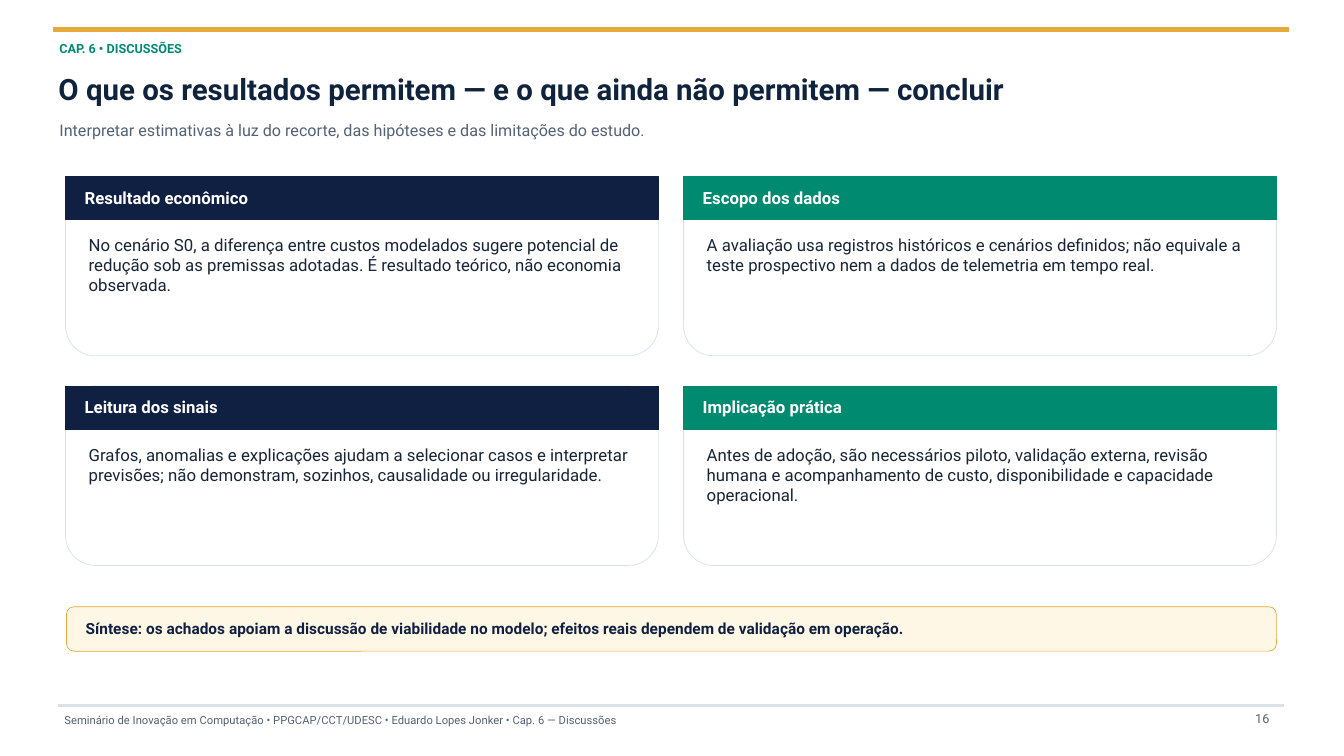
from pptx import Presentation
from pptx.dml.color import RGBColor
from pptx.enum.shapes import MSO_SHAPE
from pptx.enum.text import MSO_ANCHOR, MSO_AUTO_SIZE, PP_ALIGN
from pptx.util import Inches, Pt

TITLE = "O que os resultados permitem — e o que ainda não permitem — concluir"
TAG = "CAP. 6 • DISCUSSÕES"
LEAD = "Interpretar estimativas à luz do recorte, das hipóteses e das limitações do estudo."
CARDS = [
    ("Resultado econômico",
     "No cenário S0, a diferença entre custos modelados sugere potencial de redução "
     "sob as premissas adotadas. É resultado teórico, não economia observada."),
    ("Escopo dos dados",
     "A avaliação usa registros históricos e cenários definidos; não equivale a teste "
     "prospectivo nem a dados de telemetria em tempo real."),
    ("Leitura dos sinais",
     "Grafos, anomalias e explicações ajudam a selecionar casos e interpretar previsões; "
     "não demonstram, sozinhos, causalidade ou irregularidade."),
    ("Implicação prática",
     "Antes de adoção, são necessários piloto, validação externa, revisão humana e "
     "acompanhamento de custo, disponibilidade e capacidade operacional."),
]
CLOSE = ("Síntese: os achados apoiam a discussão de viabilidade no modelo; "
         "efeitos reais dependem de validação em operação.")
FOOT = ("Seminário de Inovação em Computação • PPGCAP/CCT/UDESC • "
        "Eduardo Lopes Jonker • Cap. 6 — Discussões")
PAGE = "16"


class Theme:
    font = "Roboto"
    gold, cream, white = "E6A93A", "FFF7E5", "FFFFFF"
    navy, green, rule = "0F2043", "008B70", "DAE1E8"
    title, body, muted = "10233D", "182536", "526174"
    heads = (navy, green)
    big, card, lead, close, small, tiny = 21, 12, 11.5, 11, 9, 8


LEFT, TOP = 0.65, 1.75
WIDE, HIGH, BAND = 5.88, 1.78, 0.43
STEP_X, STEP_Y = 6.13, 2.08

deck = Presentation()
deck.slide_width, deck.slide_height = Inches(13.33), Inches(7.5)
slide = deck.slides.add_slide(deck.slide_layouts[5])


def draw(kind, box, fill, line):
    shape = slide.shapes.add_shape(kind, *map(Inches, box))
    shape.shadow.inherit = False
    shape.fill.solid()
    shape.fill.fore_color.rgb = RGBColor.from_string(fill)
    shape.line.color.rgb = RGBColor.from_string(line)
    shape.line.width = Pt(0.5)


def write(text, box, size, color, bold=False, align=PP_ALIGN.LEFT,
          anchor=MSO_ANCHOR.MIDDLE, holder=None):
    """Put text in a new text box, or in the given placeholder."""
    place = [Inches(n) for n in box]
    shape = holder or slide.shapes.add_textbox(*place)
    shape.left, shape.top, shape.width, shape.height = place
    frame = shape.text_frame
    frame.text = text
    frame.word_wrap = True
    frame.auto_size = MSO_AUTO_SIZE.SHAPE_TO_FIT_TEXT
    frame.vertical_anchor = anchor
    frame.margin_left = frame.margin_right = Inches(0.03)
    frame.margin_top = frame.margin_bottom = Inches(0.03)
    par = frame.paragraphs[0]
    par.alignment = align
    font = par.runs[0].font
    font.name, font.size, font.bold = Theme.font, Pt(size), bold
    font.color.rgb = RGBColor.from_string(color)


def add_card(index, head, body):
    row, col = divmod(index, 2)
    x, y = LEFT + col * STEP_X, TOP + row * STEP_Y
    tint = Theme.heads[col]
    draw(MSO_SHAPE.ROUNDED_RECTANGLE, (x, y, WIDE, HIGH), Theme.white, Theme.rule)
    draw(MSO_SHAPE.RECTANGLE, (x, y, WIDE, BAND), tint, tint)
    write(head, (x + 0.16, y + 0.06, 5.5, 0.3), Theme.card, Theme.white, bold=True)
    write(body, (x + 0.2, y + 0.55, 5.47, 1.08), Theme.card, Theme.body,
          anchor=MSO_ANCHOR.TOP)


draw(MSO_SHAPE.RECTANGLE, (0.53, 0.27, 12.25, 0.04), Theme.gold, Theme.gold)
write(TAG, (0.56, 0.37, 12, 0.22), Theme.small, Theme.green, bold=True)
write(TITLE, (0.55, 0.64, 12.15, 0.48), Theme.big, Theme.title, bold=True,
      holder=slide.shapes.title)
write(LEAD, (0.56, 1.14, 12.05, 0.29), Theme.lead, Theme.muted)

for index, (head, body) in enumerate(CARDS):
    add_card(index, head, body)

draw(MSO_SHAPE.ROUNDED_RECTANGLE, (0.66, 6.02, 12, 0.44), Theme.cream, Theme.gold)
write(CLOSE, (0.82, 6.08, 11.68, 0.3), Theme.close, Theme.navy, bold=True)

draw(MSO_SHAPE.RECTANGLE, (0.58, 6.99, 12.15, 0.02), Theme.rule, Theme.rule)
write(FOOT, (0.61, 7.05, 11.3, 0.19), Theme.tiny, Theme.muted)
write(PAGE, (12.15, 7.03, 0.47, 0.2), Theme.small, Theme.muted, align=PP_ALIGN.RIGHT)

deck.save("out.pptx")
